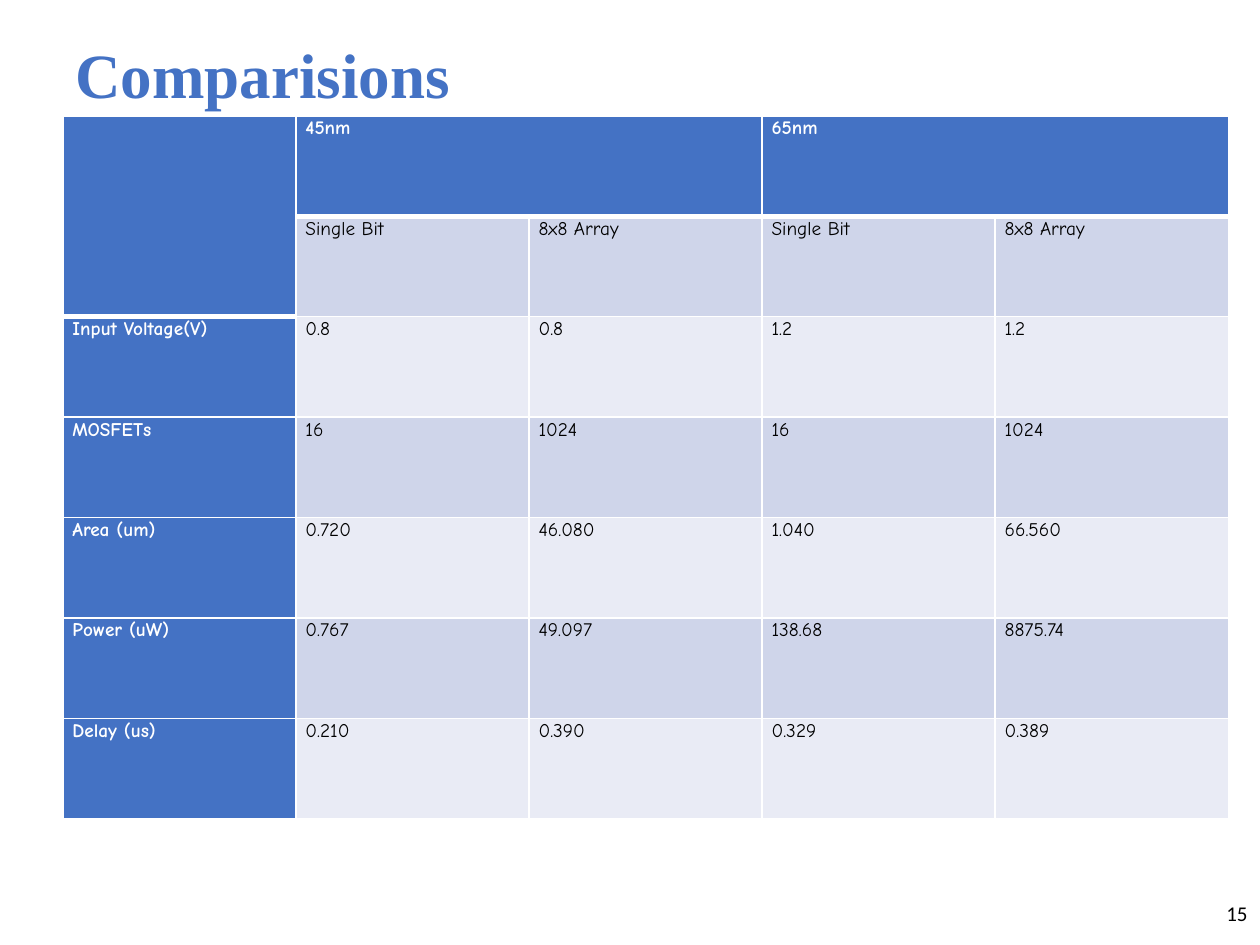
"""Build the slide comparing 45nm and 65nm designs."""
from dataclasses import dataclass

from lxml.etree import SubElement
from pptx import Presentation
from pptx.dml.color import RGBColor as Color
from pptx.enum.text import MSO_ANCHOR as Anchor, PP_ALIGN as Align
from pptx.oxml.ns import qn
from pptx.util import Pt


@dataclass(frozen=True)
class Theme:
    accent: str = "4472C4"
    band_dark: str = "CFD5EA"
    band_light: str = "E9EBF5"
    light: str = "FFFFFF"
    dark: str = "000000"
    title_font: str = "Times New Roman"
    table_font: str = "Comic Neue"
    number_font: str = "Calibri"
    title_size: float = 36
    table_size: float = 11
    number_size: float = 12
    thin: float = 1
    thick: float = 3


class SlideBuilder:
    def __init__(self, slide, theme):
        self.slide = slide
        self.theme = theme

    def style(self, para, font, size, color, bold=False, align=Align.LEFT, spacing=1.0):
        para.alignment = align
        para.line_spacing = spacing
        para.font.name = font
        para.font.size = Pt(size)
        para.font.bold = bold
        para.font.color.rgb = Color.from_string(color)

    def text(self, content, left, top, width, height, **style):
        box = self.slide.shapes.add_textbox(Pt(left), Pt(top), Pt(width), Pt(height))
        frame = box.text_frame
        frame.word_wrap = True
        frame.vertical_anchor = Anchor.TOP
        frame.text = content
        self.style(frame.paragraphs[0], **style)

    def borders(self, cell, top, bottom):
        properties = cell._tc.get_or_add_tcPr()
        widths = {"L": self.theme.thin, "R": self.theme.thin, "T": top, "B": bottom}
        for side, width in widths.items():
            line = SubElement(properties, qn(f"a:ln{side}"), w=str(Pt(width)))
            fill = SubElement(line, qn("a:solidFill"))
            SubElement(fill, qn("a:srgbClr"), val=self.theme.light)

    def cell(self, cell, content, row, column):
        theme = self.theme
        header = row == 0 or column == 0
        header_end = 1 if column == 0 else 0
        self.borders(
            cell,
            top=theme.thick if row == header_end + 1 else theme.thin,
            bottom=theme.thick if row <= header_end else theme.thin,
        )
        band = theme.band_dark if row % 2 else theme.band_light
        cell.fill.solid()
        cell.fill.fore_color.rgb = Color.from_string(theme.accent if header else band)
        cell.margin_left = cell.margin_right = Pt(5.4)
        cell.margin_top = cell.margin_bottom = Pt(0)
        cell.text = content
        self.style(
            cell.text_frame.paragraphs[0], theme.table_font, theme.table_size,
            theme.light if header else theme.dark, header, Align.JUSTIFY, 1.07,
        )

    def table(self, rows, merges, left, top, column_width, row_height):
        count = len(rows[0])
        table = self.slide.shapes.add_table(
            len(rows), count, Pt(left), Pt(top),
            Pt(column_width * count), Pt(row_height * len(rows)),
        ).table
        table.horz_banding = False
        for column in table.columns:
            column.width = Pt(column_width)
        for row_index, values in enumerate(rows):
            table.rows[row_index].height = Pt(row_height)
            for column_index, value in enumerate(values):
                self.cell(table.cell(row_index, column_index), value, row_index, column_index)
        for first, last in merges:
            table.cell(*first).merge(table.cell(*last))


COMPARISON = [
    ["", "45nm", "", "65nm", ""],
    ["", "Single Bit", "8x8 Array", "Single Bit", "8x8 Array"],
    ["Input Voltage(V)", "0.8", "0.8", "1.2", "1.2"],
    ["MOSFETs", "16", "1024", "16", "1024"],
    ["Area (um)", "0.720", "46.080", "1.040", "66.560"],
    ["Power (uW)", "0.767", "49.097", "138.68", "8875.74"],
    ["Delay (us)", "0.210", "0.390", "0.329", "0.389"],
]
HEADER_MERGES = [((0, 0), (1, 0)), ((0, 1), (0, 2)), ((0, 3), (0, 4))]


def main():
    deck = Presentation()
    deck.slide_width, deck.slide_height = Pt(720), Pt(540)
    theme = Theme()
    page = SlideBuilder(deck.slides.add_slide(deck.slide_layouts[6]), theme)
    page.text("Comparisions", 36, 21.6, 648, 90, font=theme.title_font,
              size=theme.title_size, color=theme.accent, bold=True, spacing=0.9)
    page.text("15", 552, 511.2, 168, 28.8, font=theme.number_font,
              size=theme.number_size, color=theme.dark, align=Align.RIGHT)
    page.table(COMPARISON, HEADER_MERGES, 36, 66.24, column_width=133.2, row_height=57.4)
    deck.save("out.pptx")


if __name__ == "__main__":
    main()
